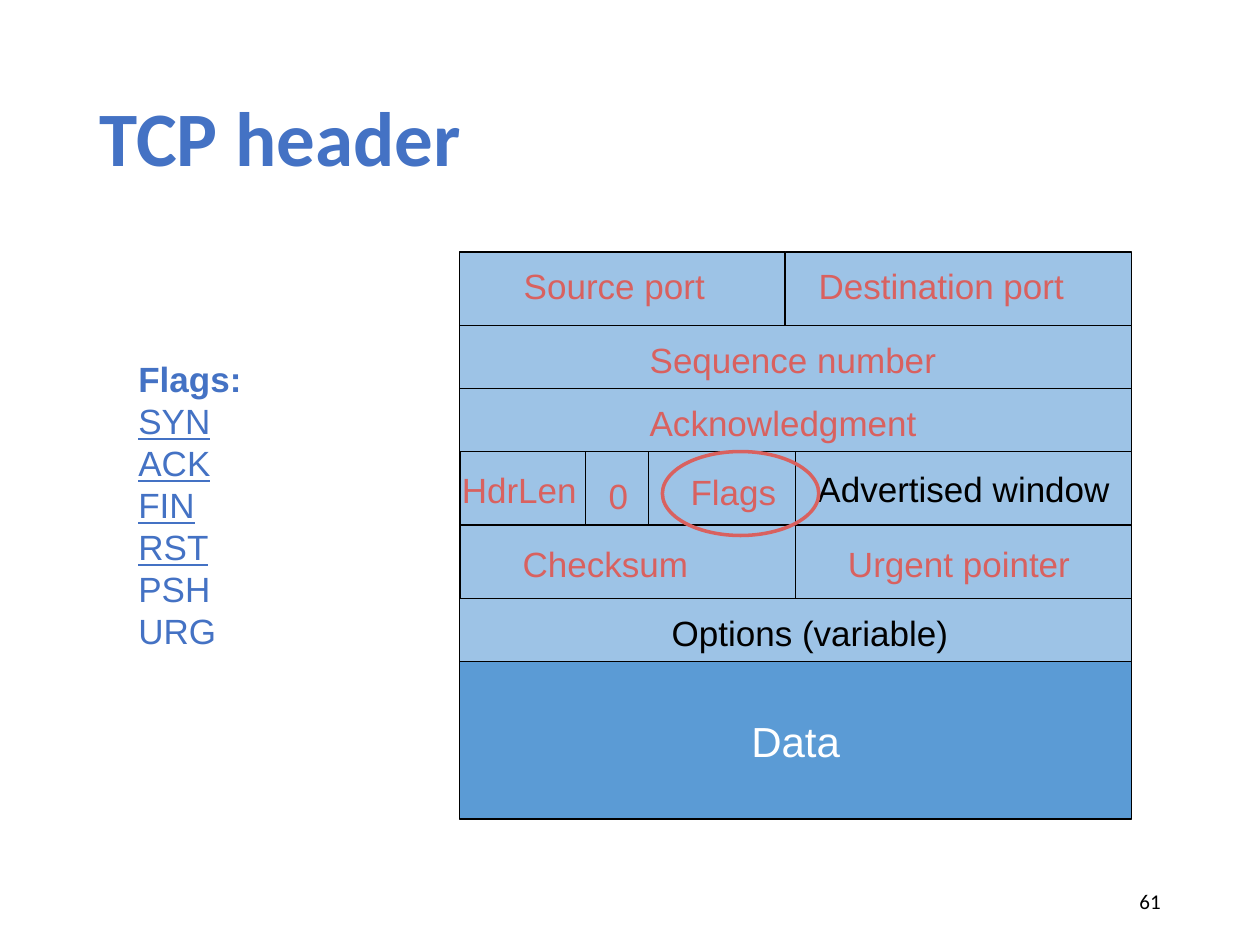
from dataclasses import dataclass

from lxml.etree import SubElement
from pptx import Presentation
from pptx.dml.color import RGBColor
from pptx.enum.shapes import MSO_CONNECTOR, MSO_SHAPE
from pptx.enum.text import MSO_ANCHOR, MSO_AUTO_SIZE, PP_ALIGN
from pptx.oxml.ns import qn
from pptx.util import Inches, Pt


@dataclass(frozen=True)
class Theme:
    blue: str = "4472C4"
    field: str = "9DC3E6"
    data: str = "5B9BD5"
    accent: str = "D9615F"
    black: str = "000000"
    white: str = "FFFFFF"
    head_font: str = "Calibri"
    body_font: str = "Arial"
    title_size: int = 44
    data_size: int = 24
    body_size: int = 20
    number_size: int = 12
    border: float = 0.75
    ring: float = 2


THEME = Theme()
COLUMNS, ROWS = 64, 54

FIELDS = [
    (0, 0, 31, 7), (31, 0, 33, 7),
    (0, 7, 64, 6),
    (0, 13, 64, 6),
    (0, 19, 32, 7), (32, 19, 32, 7),
    (0, 26, 32, 7), (32, 26, 32, 7),
    (0, 33, 64, 6),
]
DIVIDERS = [12, 18]
LABEL_ROWS = 5.2
LABELS = [
    ("Source port", 4.9, 0.6, 19.7, THEME.accent),
    ("Destination port", 33, 0.6, 25.8, THEME.accent),
    ("Sequence number", 16.9, 7.6, 29.6, THEME.accent),
    ("Acknowledgment", 16.9, 13.6, 28.1, THEME.accent),
    ("HdrLen", -1, 20, 14, THEME.accent),
    ("0", 13, 20.6, 4.3, THEME.accent),
    ("Flags", 20.8, 20.2, 10.7, THEME.accent),
    ("Advertised window", 32.9, 19.9, 30.2, THEME.black),
    ("Checksum", 4.8, 27.1, 18.1, THEME.accent),
    ("Urgent pointer", 35.8, 27.1, 23.5, THEME.accent),
    ("Options (variable)", 19, 33.6, 28.7, THEME.black),
]
FLAGS = [("SYN", True), ("ACK", True), ("FIN", True), ("RST", True),
         ("PSH", False), ("URG", False)]


def add_span(para, text, size, color, font=THEME.body_font, bold=False, underline=False):
    span = para.add_run()
    span.text = text
    span.font.name = font
    span.font.size = Pt(size)
    span.font.bold = bold
    span.font.underline = underline
    span.font.color.rgb = RGBColor.from_string(color)


def add_form(page, kind, box, fill=None, line=None, weight=THEME.border):
    form = page.shapes.add_shape(kind, *box)
    form.shadow.inherit = False
    if fill:
        form.fill.solid()
        form.fill.fore_color.rgb = RGBColor.from_string(fill)
    else:
        form.fill.background()
    if line:
        form.line.color.rgb = RGBColor.from_string(line)
        form.line.width = Pt(weight)
    else:
        form.line.fill.background()
    return form


def place_title(page, box, text):
    title = page.shapes.title
    title.left, title.top, title.width, title.height = box
    frame = title.text_frame
    frame.vertical_anchor = MSO_ANCHOR.MIDDLE
    para = frame.paragraphs[0]
    para.alignment = PP_ALIGN.LEFT
    para.line_spacing = 0.9
    add_span(para, text, THEME.title_size, THEME.blue, THEME.head_font, bold=True)


def place_header(page, box):
    left, top, width, height = box

    def cell(column, row, columns, rows):
        return (int(left + width * column / COLUMNS), int(top + height * row / ROWS),
                int(width * columns / COLUMNS), int(height * rows / ROWS))

    for field in FIELDS:
        add_form(page, MSO_SHAPE.RECTANGLE, cell(*field), THEME.field, THEME.black)

    data = add_form(page, MSO_SHAPE.RECTANGLE, cell(0, 39, 64, 15), THEME.data, THEME.black)
    data.text_frame.vertical_anchor = MSO_ANCHOR.MIDDLE
    para = data.text_frame.paragraphs[0]
    para.alignment = PP_ALIGN.CENTER
    add_span(para, "Data", THEME.data_size, THEME.white)

    for text, column, row, columns, color in LABELS:
        fill = THEME.field if column >= 0 else None
        label = add_form(page, MSO_SHAPE.RECTANGLE,
                         cell(column, row, columns, LABEL_ROWS), fill)
        frame = label.text_frame
        frame.word_wrap = True
        frame.auto_size = MSO_AUTO_SIZE.NONE
        frame.margin_right = 0
        frame.vertical_anchor = MSO_ANCHOR.TOP
        para = frame.paragraphs[0]
        para.alignment = PP_ALIGN.LEFT
        add_span(para, text, THEME.body_size, color)

    for column in DIVIDERS:
        x, y, _, drop = cell(column, 19, 0, 7)
        divider = page.shapes.add_connector(MSO_CONNECTOR.STRAIGHT, x, y, x, y + drop)
        divider.line.color.rgb = RGBColor.from_string(THEME.black)
        divider.line.width = Pt(THEME.border)
        SubElement(divider._element.spPr, qn("a:effectLst"))

    add_form(page, MSO_SHAPE.OVAL, cell(19.3, 19, 14.9, 8),
             line=THEME.accent, weight=THEME.ring)


def place_flags(page, box):
    frame = page.shapes.add_textbox(*box).text_frame
    frame.word_wrap = True
    frame.auto_size = MSO_AUTO_SIZE.SHAPE_TO_FIT_TEXT
    add_span(frame.paragraphs[0], "Flags:", THEME.body_size, THEME.blue, bold=True)
    for name, underline in FLAGS:
        add_span(frame.add_paragraph(), name, THEME.body_size, THEME.blue,
                 underline=underline)


def place_number(page, box, text):
    frame = page.shapes.add_textbox(*box).text_frame
    frame.word_wrap = True
    frame.vertical_anchor = MSO_ANCHOR.MIDDLE
    para = frame.paragraphs[0]
    para.alignment = PP_ALIGN.RIGHT
    add_span(para, text, THEME.number_size, THEME.black, THEME.head_font)


def main():
    deck = Presentation()
    deck.slide_width, deck.slide_height = Inches(10), Inches(7.5)
    page = deck.slides.add_slide(deck.slide_layouts[5])

    def area(*sides):
        return [Inches(side) for side in sides]

    place_title(page, area(0.69, 0.4, 8.62, 1.45), "TCP header")
    place_header(page, area(3.65, 2, 5.33, 4.5))
    place_flags(page, area(1, 2.79, 2.33, 2.79))
    place_number(page, area(7.06, 6.95, 2.25, 0.4), "61")
    deck.save("out.pptx")


if __name__ == "__main__":
    main()
